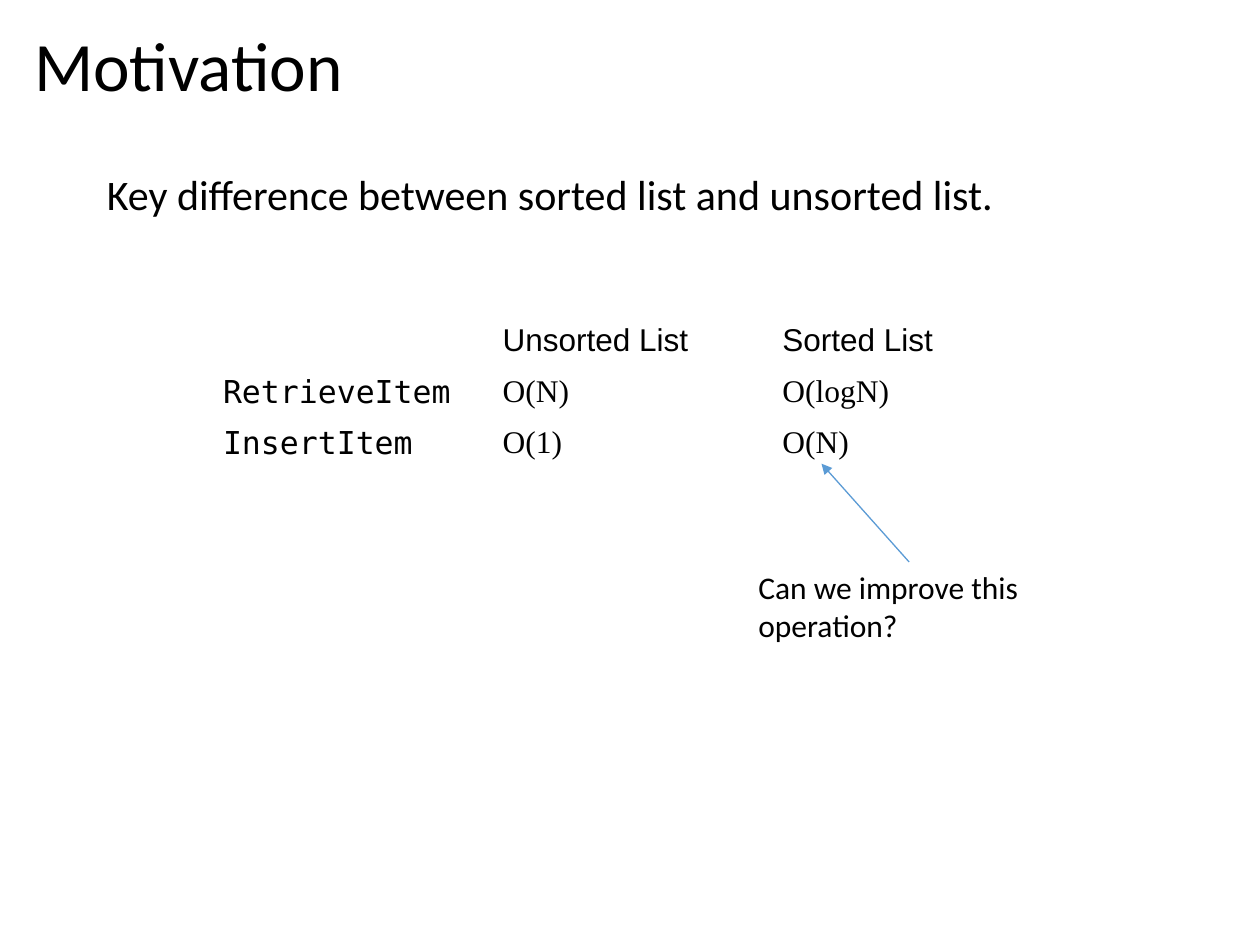
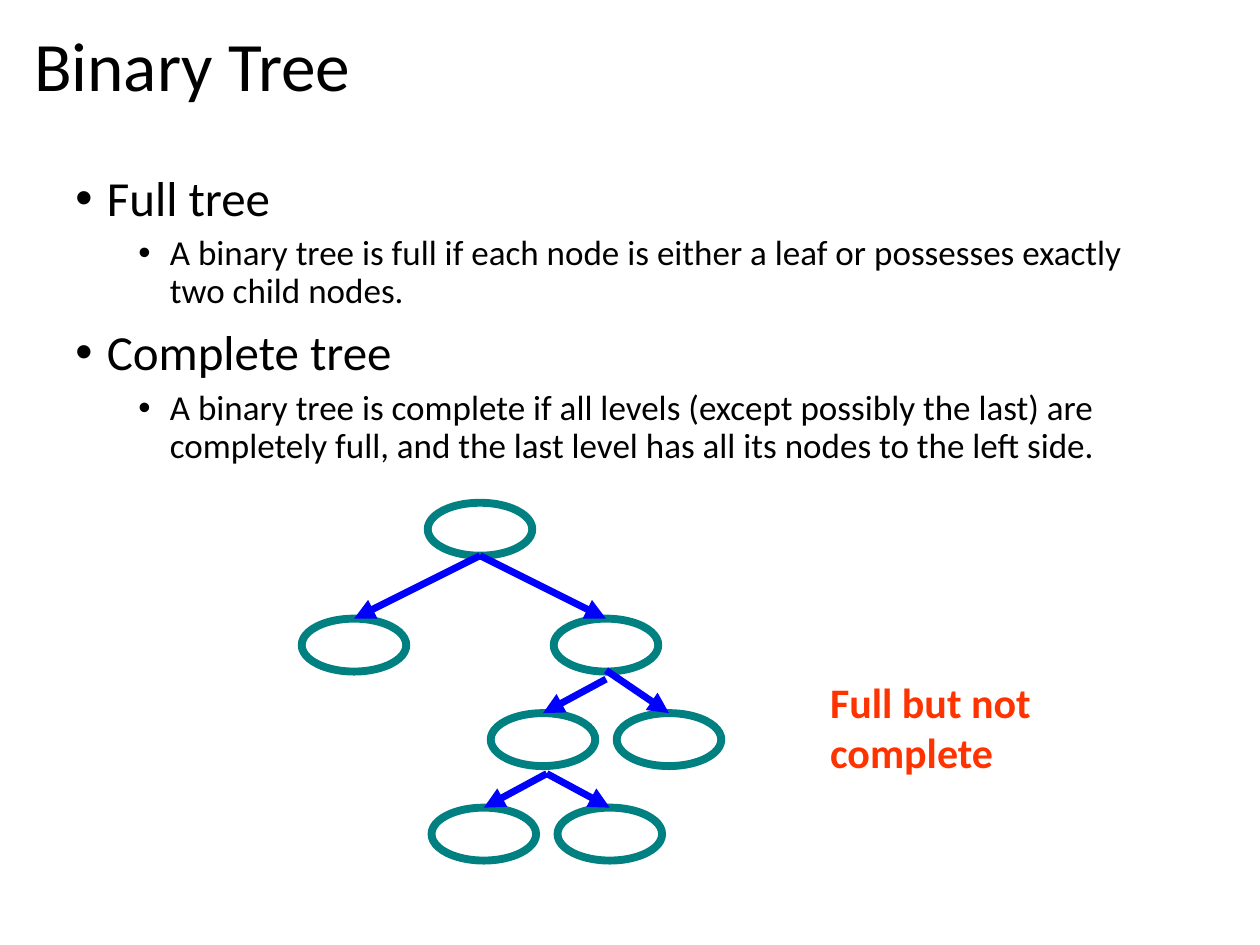
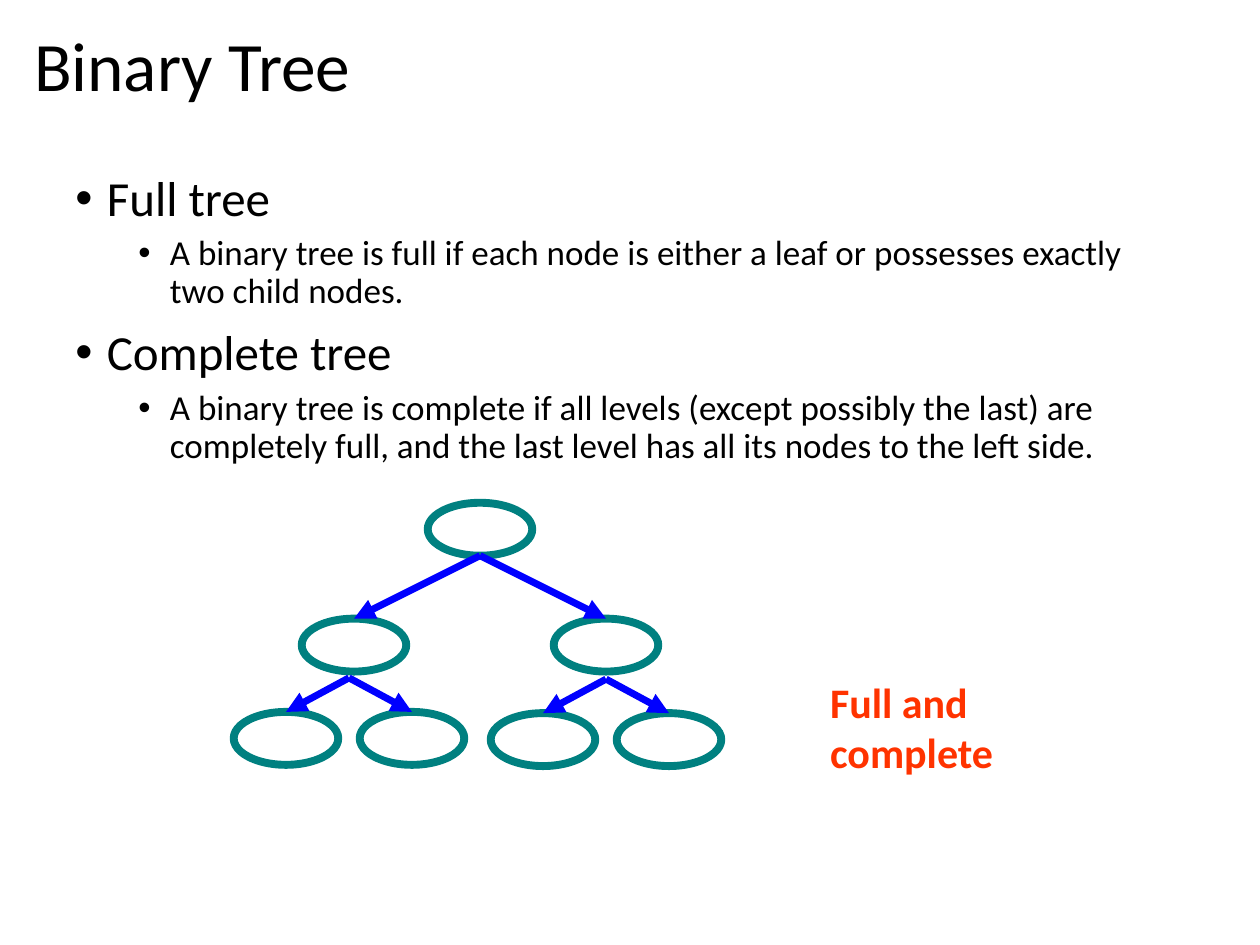
"""Builds three slides on sorted lists and binary trees."""
from lxml import etree
from pptx import Presentation
from pptx.dml.color import RGBColor
from pptx.enum import shapes, text
from pptx.oxml.ns import qn
from pptx.util import Inches, Pt


class Theme:
    ink = RGBColor.from_string("000000")
    alert = RGBColor.from_string("FF3300")
    node = RGBColor.from_string("008080")
    edge = RGBColor.from_string("0000FF")
    hint = RGBColor.from_string("5B9BD5")
    sans, head, mono, math = "Calibri", "Arial", "DejaVu Sans Mono", "Times New Roman"
    title, lead, term, note, small = 39.6, 24, 28, 20, 18


LEAD = "Key difference between sorted list and unsorted list."
COSTS = [
    ("", "Unsorted List", "Sorted List"),
    ("RetrieveItem", "O(N)", "O(logN)"),
    ("InsertItem", "O(1)", "O(N)"),
]
ASK = "Can we improve this operation?"
TERMS = [
    ("Full tree", "A binary tree is full if each node is either a leaf or "
     "possesses exactly two child nodes."),
    ("Complete tree", "A binary tree is complete if all levels (except possibly "
     "the last) are completely full, and the last level has all its nodes to "
     "the left side."),
]
NODE_W, NODE_H = 0.83, 0.42
ROOT = (3.81, 3.99)
# Each fork: middle x, start y of left and right edge, reach, top of child nodes
TOP_FORK = (3.81, (4.41, 4.41), 1, 4.91)
TREES = [
    ("Full but not complete", [TOP_FORK, (4.81, (5.39, 5.32), 0.5, 5.66),
                               (4.34, (6.14, 6.14), 0.5, 6.41)]),
    ("Full and complete", [TOP_FORK, (2.77, (5.38, 5.38), 0.5, 5.65),
                           (4.81, (5.39, 5.39), 0.5, 5.66)]),
]


def style(para, size, name=Theme.sans, color=Theme.ink, bold=False):
    font = para.font
    font.size, font.name, font.bold = Pt(size), name, bold
    font.color.rgb = color


def add_page(deck, title):
    page = deck.slides.add_slide(deck.slide_layouts[5])
    head = page.shapes.title
    head.left, head.top, head.width, head.height = map(Inches, (0.17, 0.18, 9.62, 0.74))
    frame = head.text_frame
    frame.text = title
    frame.auto_size = text.MSO_AUTO_SIZE.NONE
    frame.vertical_anchor = text.MSO_ANCHOR.MIDDLE
    para = frame.paragraphs[0]
    para.alignment, para.line_spacing = text.PP_ALIGN.LEFT, 0.9
    style(para, Theme.title)
    return page


def add_text(page, box, words=""):
    shape = page.shapes.add_textbox(*map(Inches, box))
    shape.text_frame.word_wrap = True
    shape.text_frame.text = words
    return shape, shape.text_frame.paragraphs[0]


def add_arrow(page, start, end, color, width):
    line = page.shapes.add_connector(
        shapes.MSO_CONNECTOR.STRAIGHT, *map(Inches, start + end))
    line.line.color.rgb, line.line.width = color, Pt(width)
    props = line.element.spPr
    etree.SubElement(props.find(qn("a:ln")), qn("a:tailEnd"), type="triangle")
    etree.SubElement(props, qn("a:effectLst"))
    return line


def add_node(page, mid, top):
    node = page.shapes.add_shape(
        shapes.MSO_SHAPE.OVAL, Inches(mid - NODE_W / 2), Inches(top),
        Inches(NODE_W), Inches(NODE_H))
    node.shadow.inherit = False
    node.fill.background()
    node.line.color.rgb, node.line.width = Theme.node, Pt(4.5)
    return node


def add_bullet(para, words, level, size, before):
    para.text, para.level = words, level
    para.line_spacing, para.space_before = 0.9, Pt(before)
    props = para._p.get_or_add_pPr()
    props.set("marL", str(Inches(0.25 + 0.5 * level)))
    props.set("indent", str(Inches(-0.25)))
    etree.SubElement(props, qn("a:buFont"), typeface=Theme.head)
    etree.SubElement(props, qn("a:buChar"), char="•")
    style(para, size)


def add_costs(page):
    grid = page.shapes.add_table(
        3, 3, *map(Inches, (1.67, 2.51, 6.66, 1.23))).table
    grid.first_row = grid.horz_banding = False
    for r, row in enumerate(COSTS):
        for c, words in enumerate(row):
            cell = grid.cell(r, c)
            cell.fill.background()
            cell.text = words
            name = Theme.head if r == 0 else Theme.math if c else Theme.mono
            style(cell.text_frame.paragraphs[0], Theme.small, name)


def add_motive(deck):
    page = add_page(deck, "Motivation")
    _, para = add_text(page, (0.75, 1.33, 8.5, 5.25), LEAD)
    para.alignment, para.line_spacing = text.PP_ALIGN.JUSTIFY, 0.9
    style(para, Theme.lead)
    add_costs(page)
    ask, para = add_text(page, (5.92, 4.46, 2.59, 0.71), ASK)
    style(para, Theme.small)
    arrow = add_arrow(page, (7.21, 4.46), (6.52, 3.68), Theme.hint, 0.75)
    arrow.begin_connect(ask, 0)


def add_tree(deck, verdict, forks):
    page = add_page(deck, "Binary Tree")
    body, para = add_text(page, (0.5, 1.33, 9, 4.95))
    for i, (term, note) in enumerate(TERMS):
        if i:
            para = body.text_frame.add_paragraph()
        add_bullet(para, term, 0, Theme.term, 10 if i else 0)
        add_bullet(body.text_frame.add_paragraph(), note, 1, Theme.note, 5)
    add_node(page, *ROOT)
    for mid, starts, reach, top in forks:
        for side, start in zip((-1, 1), starts):
            kid = mid + side * reach
            node = add_node(page, kid, top)
            edge = add_arrow(page, (mid, start), (kid, top), Theme.edge, 4)
            edge.end_connect(node, 0)
    _, para = add_text(page, (6.49, 5.32, 2.4, 0.91), verdict)
    style(para, Theme.lead, color=Theme.alert, bold=True)


def main():
    deck = Presentation()
    deck.slide_width, deck.slide_height = Inches(10), Inches(7.5)
    add_motive(deck)
    for verdict, forks in TREES:
        add_tree(deck, verdict, forks)
    deck.save("out.pptx")


if __name__ == "__main__":
    main()
